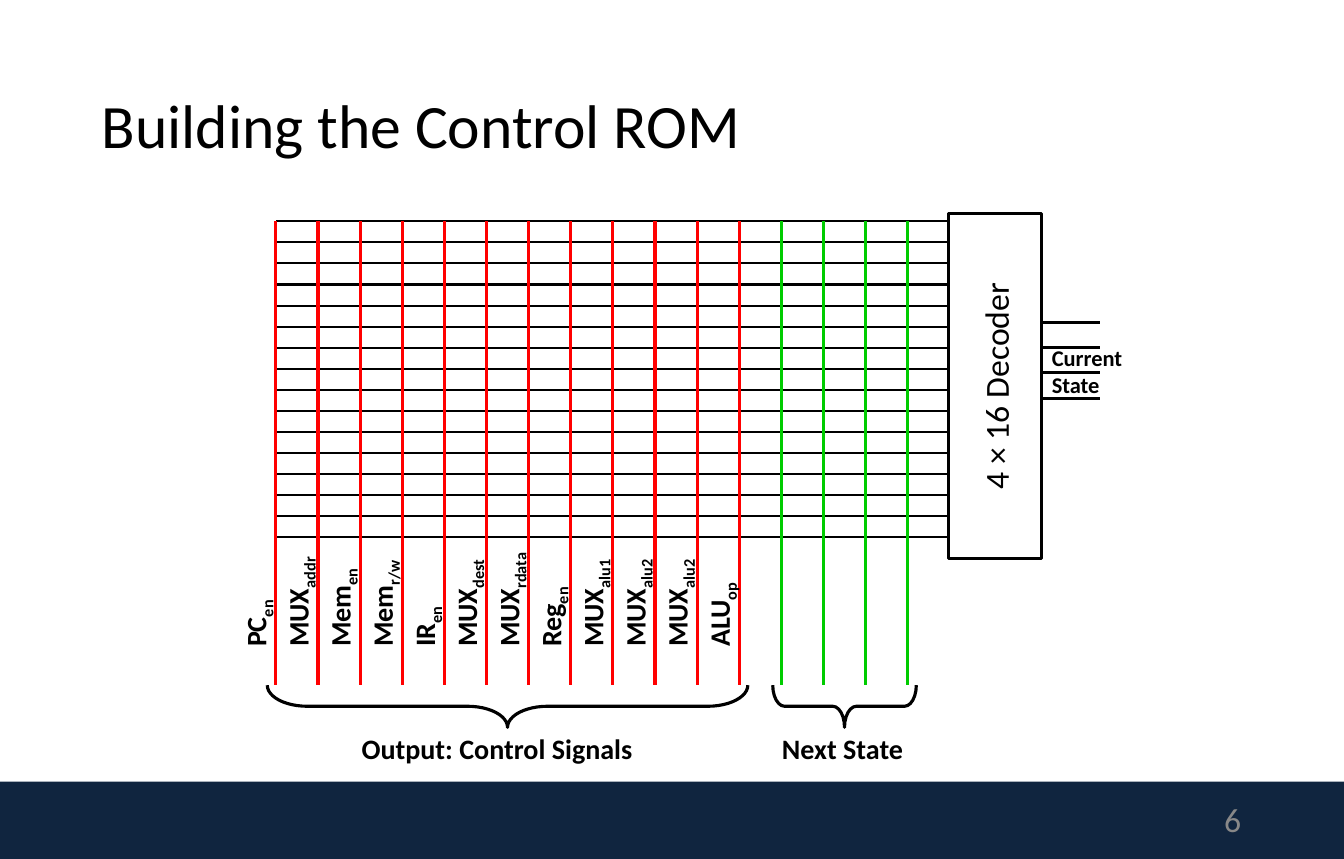
from lxml import etree
from pptx import Presentation
from pptx.dml.color import RGBColor
from pptx.enum.shapes import MSO_CONNECTOR, MSO_SHAPE
from pptx.enum.text import MSO_ANCHOR, PP_ALIGN
from pptx.oxml.ns import qn
from pptx.util import Inches, Pt

STRAIGHT = MSO_CONNECTOR.STRAIGHT
RECTANGLE, BRACE = MSO_SHAPE.RECTANGLE, MSO_SHAPE.LEFT_BRACE
TOP, MIDDLE = MSO_ANCHOR.TOP, MSO_ANCHOR.MIDDLE
LEFT, CENTER, RIGHT = PP_ALIGN.LEFT, PP_ALIGN.CENTER, PP_ALIGN.RIGHT

WIDTH, HEIGHT = 13.3, 8.5
BLACK, RED, GREEN, NAVY, GRAY = "000000", "FF0000", "00CC00", "10253F", "888888"
WORD_LINES, STATE_BITS, COLUMNS = 16, 4, 16
SIGNALS = [
    ("PC", "en", 0.69), ("MUX", "addr", 1.17), ("Mem", "en", 1.01),
    ("Mem", "r/w", 1.1), ("IR", "en", 0.62), ("MUX", "dest", 1.11),
    ("MUX", "rdata", 1.22), ("Reg", "en", 0.85), ("MUX", "alu1", 1.13),
    ("MUX", "alu2", 1.13), ("MUX", "alu2", 1.13), ("ALU", "op", 0.98),
]


def color(value):
    """Turn a hex string into a colour."""
    return RGBColor.from_string(value)


def centered(center_x, center_y, width, height):
    """Give the box of this size around a centre, as it is before any turn."""
    return center_x - width / 2, center_y - height / 2, width, height


def write(shape, text, size=20, ink=BLACK, bold=False, align=LEFT,
          anchor=TOP, spacing=None, subscript="", wrap=False):
    """Fill a shape with formatted text, one paragraph per line."""
    frame = shape.text_frame
    frame.word_wrap = wrap
    frame.vertical_anchor = anchor
    for number, line in enumerate(text.split("\n")):
        paragraph = frame.add_paragraph() if number else frame.paragraphs[0]
        paragraph.alignment = align
        paragraph.line_spacing = spacing
        for words, offset in ((line, None), (subscript, "-25000")):
            if not words:
                continue
            run = paragraph.add_run()
            run.text = words
            run.font.name, run.font.size, run.font.bold = "Calibri", Pt(size), bold
            run.font.color.rgb = color(ink)
            if offset:
                run._r.get_or_add_rPr().set("baseline", offset)


def add_label(slide, box, text, turn=0, **style):
    """Place a text box."""
    label = slide.shapes.add_textbox(*map(Inches, box))
    label.rotation = turn
    write(label, text, **style)


def add_figure(slide, kind, box, fill=None, line=None, turn=0):
    """Place a flat preset shape."""
    figure = slide.shapes.add_shape(kind, *map(Inches, box))
    figure.shadow.inherit = False
    figure.rotation = turn
    if fill:
        figure.fill.solid()
        figure.fill.fore_color.rgb = color(fill)
    else:
        figure.fill.background()
    if line:
        figure.line.color.rgb = color(line)
        figure.line.width = Pt(2.25)
    else:
        figure.line.fill.background()
    return figure


def add_wire(slide, start, end, ink=BLACK, weight=2.25):
    """Draw a straight wire without a shadow."""
    wire = slide.shapes.add_connector(STRAIGHT, *map(Inches, (*start, *end)))
    wire.line.color.rgb = color(ink)
    wire.line.width = Pt(weight)
    etree.SubElement(wire._element.spPr, qn("a:effectLst"))


def add_page_frame(slide, width, height):
    """Add the title, footer band and page number."""
    add_figure(slide, RECTANGLE, (0, 0.91 * height, width, 0.09 * height), fill=NAVY)
    add_label(slide, (0.91, 0.45, 11.47, 1.64), "Building the Control ROM",
              size=43.9, anchor=MIDDLE, spacing=0.9, wrap=True)
    add_label(slide, (9.39, 7.88, 2.99, 0.45), "6", size=24, ink=GRAY,
              align=RIGHT, anchor=MIDDLE, wrap=True)


def add_rom(slide, left, top, width, height):
    """Draw the word lines, bit lines, signal names and output braces."""
    column, row = width / COLUMNS, width / COLUMNS / 2
    bottom = top + height
    for number in range(WORD_LINES):
        y = top + number * row
        add_wire(slide, (left + width, y), (left, y), weight=1.5)
    for number in range(len(SIGNALS) + STATE_BITS):
        x = left + number * column
        add_wire(slide, (x, top), (x, bottom), RED if number < len(SIGNALS) else GREEN)
    for number, (name, subscript, length) in enumerate(SIGNALS):
        center_x = left + number * column - 0.2
        add_label(slide, centered(center_x, bottom - 0.28 - length / 2, length, 0.44),
                  name, turn=270, bold=True, subscript=subscript)
    groups = [
        (0, len(SIGNALS), 0.95, "Output: Control Signals", 3.48, 2.9),
        (len(SIGNALS), STATE_BITS, 0.28, "Next State", 7.64, 1.43),
    ]
    for first, count, curve, caption, caption_left, caption_width in groups:
        center_x = left + (first + (count - 1) / 2) * column
        span = (count - 1) * column + 0.17
        brace = add_figure(slide, BRACE, centered(center_x, bottom + row, column, span),
                           line=BLACK, turn=270)
        brace.adjustments[0] = curve
        add_label(slide, (caption_left, bottom + 0.41, caption_width, 0.44),
                  caption, bold=True)


def add_decoder(slide, left, top, width, height):
    """Draw the decoder with its state inputs."""
    decoder = add_figure(slide, RECTANGLE,
                         centered(left + width / 2, top + height / 2, height, width),
                         line=BLACK, turn=270)
    write(decoder, "4 × 16 Decoder", size=24, align=CENTER, anchor=MIDDLE, wrap=True)
    right = left + width
    for number in range(STATE_BITS):
        y = top + 1.08 + number * 0.25
        add_wire(slide, (right, y), (right + 0.58, y))
    add_label(slide, (right, top + 1.25, 0.91, 0.64), "Current\nState", size=16, bold=True)


def main():
    """Build and save the slide."""
    deck = Presentation()
    deck.slide_width, deck.slide_height = Inches(WIDTH), Inches(HEIGHT)
    slide = deck.slides.add_slide(deck.slide_layouts[6])
    add_page_frame(slide, WIDTH, HEIGHT)
    add_rom(slide, 2.73, 2.19, 6.67, 4.59)
    add_decoder(slide, 9.39, 2.11, 0.92, 3.42)
    deck.save("out.pptx")


if __name__ == "__main__":
    main()
